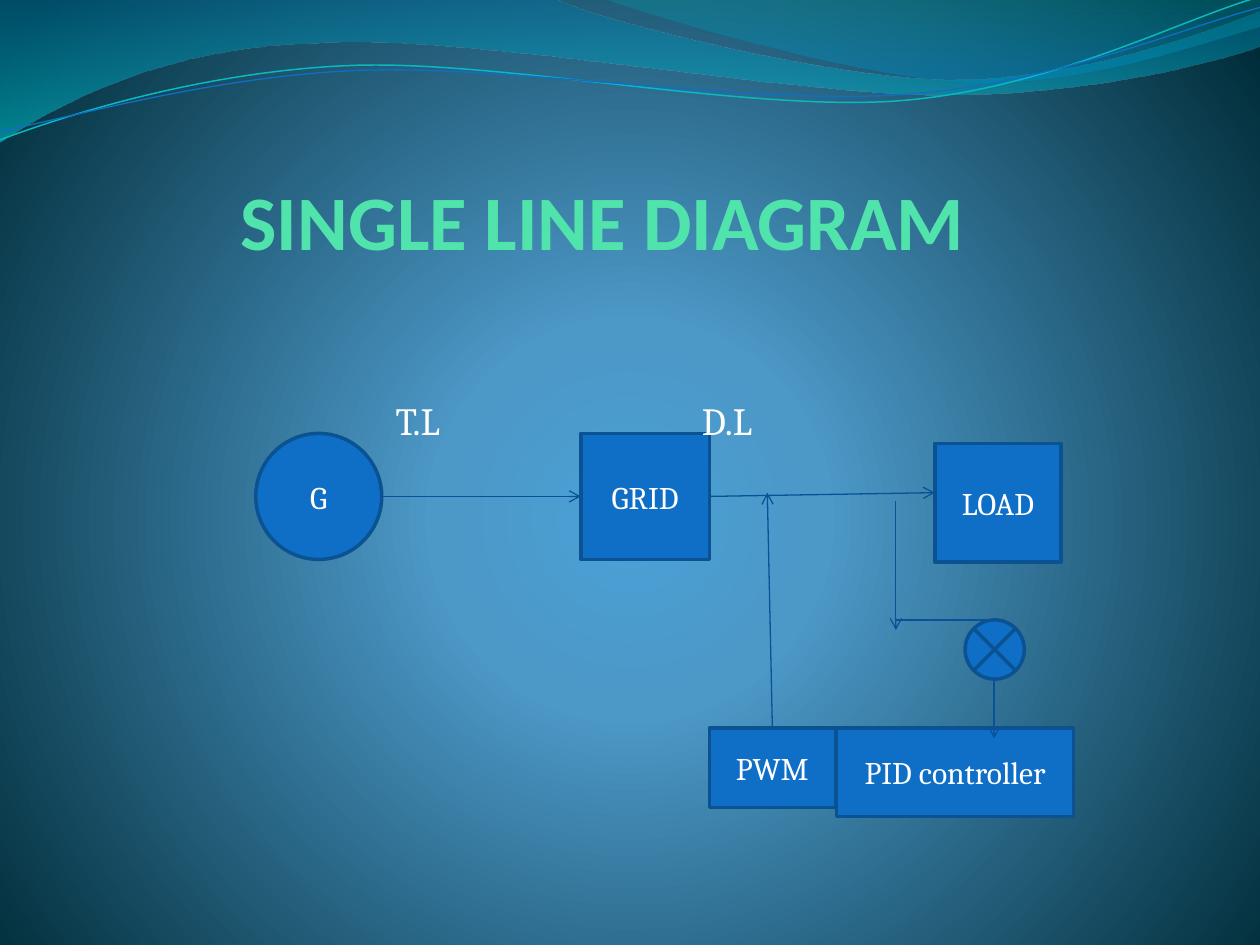
from math import cos, radians, sin

from lxml.etree import SubElement
from pptx import Presentation
from pptx.dml.color import RGBColor
from pptx.enum.shapes import MSO_CONNECTOR as Link, MSO_SHAPE as Kind
from pptx.enum.text import MSO_ANCHOR as Anchor, PP_ALIGN as Align
from pptx.oxml.ns import qn
from pptx.util import Inches, Pt

WIDE, HIGH = 10, 7.5
BLUE, EDGE, WIRE, WHITE = "0F6FC6", "0B5292", "095295", "FFFFFF"
TILT = 2.7

# Waves: a start, then line ends (2 numbers) or cubic curves (6 numbers)
BANDS = [
    ([(0, 0), (4.4, -.01), (4.76, .17, 6.64, .63, 7.58, .63),
      (8.53, .63, 9.58, .26, 10, .09), (10.01, .36),
      (9.83, .44, 8.7, .76, 7.46, .75), (6.22, .75, 3.82, .28, 2.57, .34),
      (1.29, .36, .46, .83, -.01, 1.13)],
     [(0, "0074A1", 45), (100, "00C6CF", 55)]),
    ([(4.79, -.01), (5.09, .11, 6.82, .62, 7.69, .65),
      (8.56, .69, 9.61, .32, 10, .21), (10, 0)],
     [(0, "00A1A9", 30), (80, "008BBF", 45)]),
]
# Strands also have a centre, about which they tilt
STRANDS = [
    ([(0, 1.11), (.48, .93, 1.58, .57, 2.77, .52),
      (3.95, .47, 5.93, .89, 7.13, .8), (8.33, .71, 9.38, .15, 9.98, -.02)],
     (4.99, .58), "0AB8BF", .85),
    ([(0, 1.04), (.47, .96, 1.64, .61, 2.83, .56),
      (4.03, .51, 5.97, .84, 7.17, .75), (8.36, .67, 9.41, .21, 10, .06)],
     (5, .59), BLUE, .75),
]
# Diagram parts, in inches from the diagram's corner
NODES = {
    "G": (Kind.OVAL, 0, 0, 1, 1),
    "GRID": (Kind.RECTANGLE, 2.58, 0, 1.02, 1),
    "LOAD": (Kind.RECTANGLE, 5.39, .08, 1, .94),
    "PWM": (Kind.RECTANGLE, 3.6, 2.34, 1, .63),
    "PID controller": (Kind.RECTANGLE, 4.61, 2.34, 1.88, .7),
}
# From, to, arrow, joined start, joined end
WIRES = [
    ((3.6, .5), (5.39, .47), True, ("GRID", 3), None),
    ((5.08, .54), (5.08, 1.56), True, None, None),
    ((1, .5), (2.58, .5), True, None, ("GRID", 1)),
    ((5.86, 1.95), (5.86, 2.42), True, None, None),
    ((5.08, 1.48), (5.94, 1.48), False, None, None),
    ((4.1, 2.34), (4.06, .47), True, ("PWM", 0), None),
]


def color(code):
    return RGBColor.from_string(code)


def shade(fill, node, stops, focus=None):
    """Gradient with (place, colour, opacity) stops; a focus makes it radial."""
    fill.gradient()
    grad = next(node.iter(qn("a:gradFill")))
    for part in list(grad):
        grad.remove(part)
    row = SubElement(grad, qn("a:gsLst"))
    for place, code, alpha in stops:
        stop = SubElement(row, qn("a:gs"), pos=str(place * 1000))
        tint = SubElement(stop, qn("a:srgbClr"), val=code)
        if alpha < 100:
            SubElement(tint, qn("a:alpha"), val=str(alpha * 1000))
    if focus:
        ring = SubElement(grad, qn("a:path"), {"path": "circle"})
        sides = {k: str(v * 1000) for k, v in zip("ltrb", focus)}
        SubElement(ring, qn("a:fillToRect"), sides)
    else:
        SubElement(grad, qn("a:lin"), ang="5400000", scaled="0")


def level(steps, mid):
    """Turn the steps clockwise by TILT about mid."""
    c, s = cos(radians(TILT)), sin(radians(TILT))
    for step in steps:
        flat = []
        for x, y in zip(step[::2], step[1::2]):
            dx, dy = x - mid[0], y - mid[1]
            flat += [mid[0] + dx * c - dy * s, mid[1] + dx * s + dy * c]
        yield tuple(flat)


def curve(slide, steps, close):
    dots = [(Inches(x), Inches(y)) for step in steps
            for x, y in zip(step[::2], step[1::2])]
    pen = slide.shapes.build_freeform(*dots[0])
    pen.add_line_segments(dots[1:], close=close)
    shape = pen.convert_to_shape()
    shape.shadow.inherit = False
    lines = iter(list(shape.element.iter(qn("a:lnTo"))))
    for step in steps[1:]:
        first = next(lines)
        if len(step) == 6:
            bend = first.makeelement(qn("a:cubicBezTo"))
            first.addprevious(bend)
            for line in (first, next(lines), next(lines)):
                bend.append(line[0])
                line.getparent().remove(line)
    return shape


def backdrop(slide):
    shade(slide.background.fill, slide.element,
          [(0, "4AA0D6", 100), (25, "4C98C7", 100), (100, "002C38", 100)],
          (10, 110, 10, 100))
    for steps, stops in BANDS:
        band = curve(slide, steps, True)
        shade(band.fill, band.element, stops)
        band.line.fill.background()
    for steps, mid, code, size in STRANDS:
        strand = curve(slide, list(level(steps, mid)), False)
        strand.rotation = 360 - TILT
        strand.fill.background()
        strand.line.color.rgb = color(code)
        strand.line.width = Pt(size)


def write(shape, text, size, name="Cambria", code=WHITE, bold=False,
          align=Align.LEFT, anchor=Anchor.TOP, left=0, top=0):
    frame = shape.text_frame
    look = dict(word_wrap=True, vertical_anchor=anchor,
                margin_left=Inches(left), margin_top=Inches(top),
                margin_right=0, margin_bottom=0)
    for key, value in look.items():
        setattr(frame, key, value)
    line = frame.paragraphs[0]
    line.alignment = align
    run = line.add_run()
    run.text = text
    for key, value in dict(name=name, size=Pt(size), bold=bold).items():
        setattr(run.font, key, value)
    run.font.color.rgb = color(code)
    return line


def heading(slide, *area):
    box = slide.shapes.add_textbox(*map(Inches, area))
    write(box, "SINGLE LINE DIAGRAM", 44, "Calibri", "50E3AC", True,
          anchor=Anchor.BOTTOM, left=1.52)


def labels(slide, *area):
    box = slide.shapes.add_textbox(*map(Inches, area))
    line = write(box, "T.L\tD.L", 22, left=2.59, top=.48)
    stops = SubElement(line._p.get_or_add_pPr(), qn("a:tabLst"))
    SubElement(stops, qn("a:tab"), pos=str(Inches(2.43)), algn="l")


def block(slide, kind, *area):
    shape = slide.shapes.add_shape(kind, *map(Inches, area))
    shape.shadow.inherit = False
    shape.fill.solid()
    shape.fill.fore_color.rgb = color(BLUE)
    shape.line.color.rgb = color(EDGE)
    shape.line.width = Pt(2)
    return shape


def wire(slide, start, end, arrow):
    link = slide.shapes.add_connector(Link.STRAIGHT, *map(Inches, start + end))
    link.line.color.rgb = color(WIRE)
    link.line.width = Pt(.75)
    if arrow:
        SubElement(link.line._get_or_add_ln(), qn("a:tailEnd"), type="arrow")
    SubElement(link.element.spPr, qn("a:effectLst"))
    return link


def diagram(slide, x, y):
    nodes = {}
    for text, (kind, dx, dy, w, h) in NODES.items():
        nodes[text] = block(slide, kind, x + dx, y + dy, w, h)
        write(nodes[text], text, 18, align=Align.CENTER, anchor=Anchor.MIDDLE)
    for start, end, arrow, head, tail in WIRES:
        link = wire(slide, (x + start[0], y + start[1]),
                    (x + end[0], y + end[1]), arrow)
        if head:
            link.begin_connect(nodes[head[0]], head[1])
        if tail:
            link.end_connect(nodes[tail[0]], tail[1])
    block(slide, Kind.FLOWCHART_SUMMING_JUNCTION, x + 5.63, y + 1.48, .47, .47)


def main():
    deck = Presentation()
    deck.slide_width, deck.slide_height = Inches(WIDE), Inches(HIGH)
    slide = deck.slides.add_slide(deck.slide_layouts[6])
    backdrop(slide)
    diagram(slide, 2.03, 3.44)
    heading(slide, .39, .7, 8.83, 1.41)
    labels(slide, .55, 2.73, 8.5, 4.22)
    deck.save("out.pptx")


if __name__ == "__main__":
    main()
